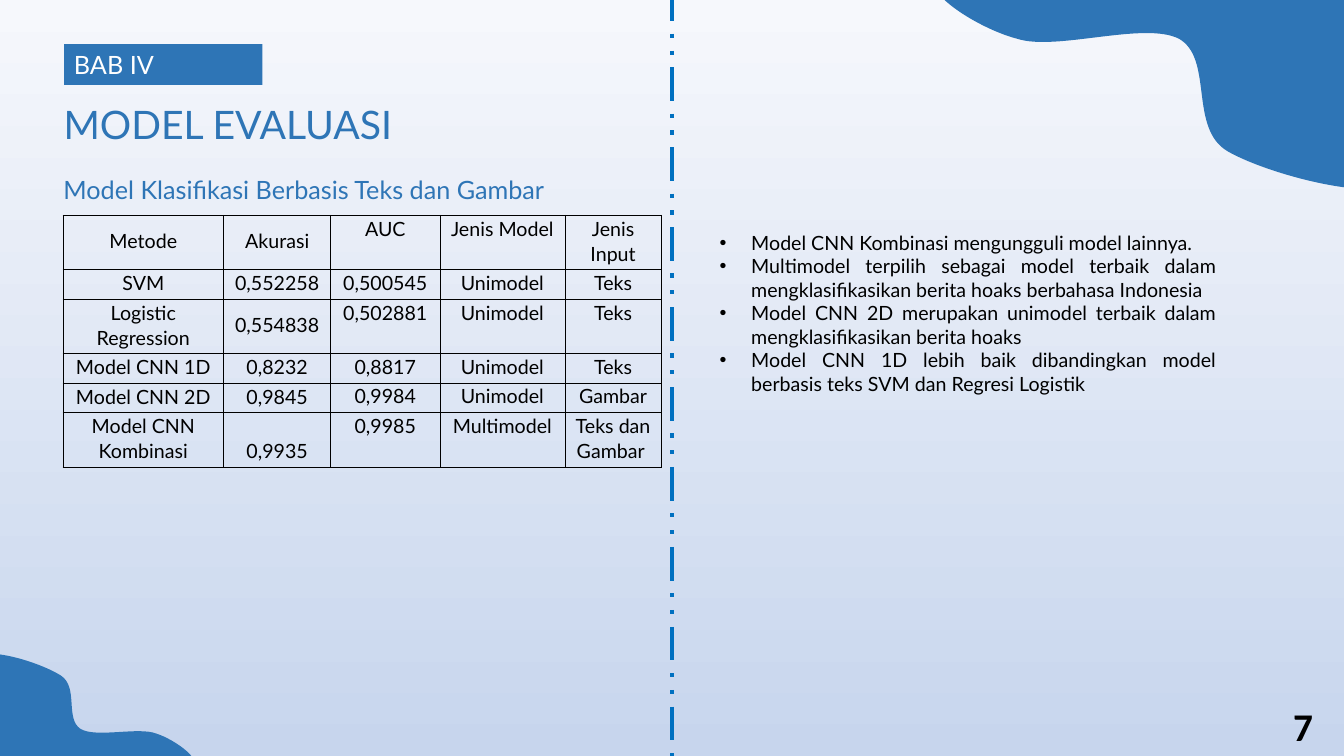
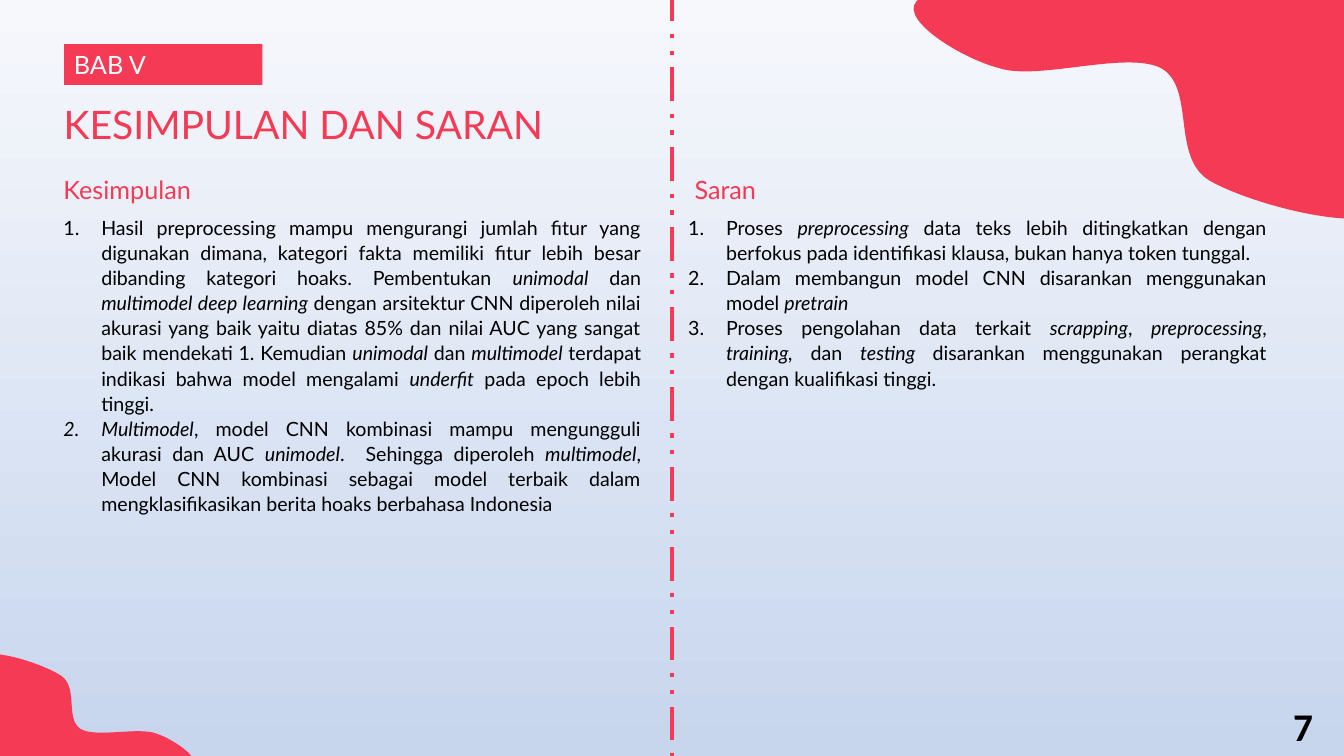
from dataclasses import dataclass

from lxml.etree import SubElement
from pptx import Presentation
from pptx.dml.color import RGBColor
from pptx.enum.dml import MSO_LINE
from pptx.enum.shapes import MSO_CONNECTOR as Connector, MSO_SHAPE as Preset
from pptx.enum.text import MSO_ANCHOR as Anchor, MSO_AUTO_SIZE as AutoSize, PP_ALIGN as Align
from pptx.oxml.ns import qn
from pptx.util import Emu, Pt


@dataclass(frozen=True)
class Theme:
    font: str = "Lato"
    number_font: str = "Calibri"
    blue: str = "2E75B6"
    divider_blue: str = "0070C0"
    red: str = "F43A55"
    ink: str = "000000"
    paper: str = "FFFFFF"
    sky_top: str = "F6F8FC"
    sky_bottom: str = "C7D5ED"
    title: int = 28
    heading: int = 18
    body: int = 14


THEME = Theme()
EMU_PER_PX = 9525
SIDES = ("left", "top", "width", "height")
TITLE_TOP, HEADING_TOP = 79, 140
HEADING_SIZE = (526, 84)
BULLET = ("a:buChar", {"char": "•"})
NUMBER = ("a:buAutoNum", {"type": "arabicPeriod"})

WAVE_SIZE = (480, 238)
WAVE_START = (461, 228)
WAVE_CURVES = [
    ((432, 255), (320, 224), (282, 202)),
    ((245, 180), (269, 114), (236, 95)),
    ((203, 78), (119, 107), (82, 95)),
    ((43, 85), (-21, 44), (7, 28)),
    ((35, 12), (174, -1), (248, 0)),
    ((322, 1), (415, -4), (450, 34)),
    ((487, 72), (489, 200), WAVE_START),
]
FOOT_WAVE_AREA = (-37, 628, 225, 110)
FOOT_WAVE_ROTATION = 183.5

CHAPTERS = [
    {
        "chapter": "BAB IV",
        "title": "MODEL EVALUASI",
        "color": THEME.blue,
        "divider": THEME.divider_blue,
        "wave_corner": (887, -58),
        "headings": [(51, "Model Klasifikasi Berbasis Teks dan Gambar")],
        "lists": [
            ((676, 215, 492, 213), BULLET, 30, 1.0, [
                "Model CNN Kombinasi mengungguli model lainnya.",
                "Multimodel terpilih sebagai model terbaik dalam mengklasifikasikan berita hoaks berbahasa Indonesia",
                "Model CNN 2D merupakan unimodel terbaik dalam mengklasifikasikan berita hoaks",
                "Model CNN 1D lebih baik dibandingkan model berbasis teks SVM dan Regresi Logistik",
            ]),
        ],
    },
    {
        "chapter": "BAB V",
        "title": "KESIMPULAN DAN SARAN",
        "color": THEME.red,
        "divider": THEME.red,
        "wave_corner": (870, -30),
        "headings": [(51, "Kesimpulan"), (652, "Saran")],
        "lists": [
            ((51, 199, 569, 298), NUMBER, 36, 1.07, [
                "Hasil preprocessing mampu mengurangi jumlah fitur yang digunakan dimana, kategori fakta "
                "memiliki fitur lebih besar dibanding kategori hoaks. Pembentukan *unimodal* dan "
                "*multimodel deep learning *dengan arsitektur CNN diperoleh nilai akurasi yang baik yaitu "
                "diatas 85% dan nilai AUC yang sangat baik mendekati 1. Kemudian *unimodal* dan "
                "*multimodel* terdapat indikasi bahwa model mengalami *underfit* pada epoch lebih tinggi.",
                "*Multimodel*, model CNN kombinasi mampu mengungguli akurasi dan AUC *unimodel*.  Sehingga "
                "diperoleh *multimodel*, Model CNN kombinasi sebagai model terbaik dalam "
                "mengklasifikasikan berita hoaks berbahasa Indonesia",
            ]),
            ((646, 199, 570, 177), NUMBER, 36, 1.07, [
                "Proses *preprocessing* data teks lebih ditingkatkan dengan berfokus pada identifikasi "
                "klausa, bukan hanya token tunggal.",
                "Dalam membangun model CNN disarankan menggunakan model *pretrain*",
                "Proses pengolahan data terkait *scrapping*, *preprocessing*, *training,* dan *testing *"
                "disarankan menggunakan perangkat dengan kualifikasi tinggi.",
            ]),
        ],
    },
]

SCORES = [
    ("Metode", "Akurasi", "AUC", "Jenis Model", "Jenis Input"),
    ("SVM", "0,552258", "0,500545", "Unimodel", "Teks"),
    ("Logistic Regression", "0,554838", "0,502881", "Unimodel", "Teks"),
    ("Model CNN 1D", "0,8232", "0,8817", "Unimodel", "Teks"),
    ("Model CNN 2D", "0,9845", "0,9984", "Unimodel", "Gambar"),
    ("Model CNN Kombinasi", "0,9935", "0,9985", "Multimodel", "Teks dan Gambar "),
]
COLUMN_WIDTHS = [153, 102, 104, 119, 92]
ROW_HEIGHTS = [48, 25, 25, 25, 25, 49]


def px(*values):
    return [Emu(round(value * EMU_PER_PX)) for value in values]


def write(frame, texts, size, color, font=THEME.font, bold=False, align=Align.LEFT,
          spacing=1.0, anchor=Anchor.TOP, marker=None, indent=0):
    frame.word_wrap = True
    frame.vertical_anchor = anchor
    for index, text in enumerate(texts):
        paragraph = frame.add_paragraph() if index else frame.paragraphs[0]
        paragraph.alignment = align
        paragraph.line_spacing = spacing
        for position, part in enumerate(text.split("*")):
            if not part:
                continue
            run = paragraph.add_run()
            run.text = part
            style = {"name": font, "size": Pt(size), "bold": bold, "italic": position % 2 == 1}
            for name, value in style.items():
                setattr(run.font, name, value)
            run.font.color.rgb = RGBColor.from_string(color)
        if marker:
            tag, attributes = marker
            properties = paragraph._p.get_or_add_pPr()
            properties.set("marL", str(indent * EMU_PER_PX))
            properties.set("indent", str(-indent * EMU_PER_PX))
            if marker is BULLET:
                SubElement(properties, qn("a:buFont"), typeface="Arial")
            SubElement(properties, qn(tag), **attributes)


presentation = Presentation()
presentation.slide_width, presentation.slide_height = px(1280, 720)

backdrop = presentation.slide_master.background.fill
backdrop.gradient()
backdrop.gradient_angle = 270
for stop, color in zip(backdrop.gradient_stops, (THEME.sky_top, THEME.sky_bottom)):
    stop.color.rgb = RGBColor.from_string(color)

for content in CHAPTERS:
    slide = presentation.slides.add_slide(presentation.slide_layouts[5])
    shapes = slide.shapes
    accent = RGBColor.from_string(content["color"])

    wave_width, wave_height = WAVE_SIZE
    corner_area = (*content["wave_corner"], *WAVE_SIZE)
    for area, rotation in ((corner_area, 0), (FOOT_WAVE_AREA, FOOT_WAVE_ROTATION)):
        builder = shapes.build_freeform(0, 0, scale=EMU_PER_PX)
        builder.add_line_segments([(wave_width, 0), WAVE_SIZE, (0, wave_height)])
        wave = builder.convert_to_shape()
        outline = wave._element.find(".//" + qn("a:path"))
        for segment in list(outline):
            outline.remove(segment)
        for tag, points in [("a:moveTo", [WAVE_START])] + [("a:cubicBezTo", curve) for curve in WAVE_CURVES]:
            segment = SubElement(outline, qn(tag))
            for x, y in points:
                SubElement(segment, qn("a:pt"), x=str(x), y=str(y))
        SubElement(outline, qn("a:close"))
        for name, value in zip(SIDES, px(*area)):
            setattr(wave, name, value)
        wave.rotation = rotation
        wave.shadow.inherit = False
        wave.fill.solid()
        wave.fill.fore_color.rgb = accent
        wave.line.fill.background()

    divider = shapes.add_connector(Connector.STRAIGHT, *px(640, -12, 640, 744))
    divider.line.color.rgb = RGBColor.from_string(content["divider"])
    divider.line.width = Pt(3)
    divider.line.dash_style = MSO_LINE.DASH_DOT_DOT
    SubElement(divider._element.spPr, qn("a:effectLst"))

    title = shapes.title
    for name, value in zip(SIDES, px(51, TITLE_TOP, *HEADING_SIZE)):
        setattr(title, name, value)
    title.text_frame.auto_size = AutoSize.NONE
    write(title.text_frame, [content["title"]], THEME.title, content["color"],
          spacing=0.9, anchor=Anchor.MIDDLE)

    band = shapes.add_shape(Preset.RECTANGLE, *px(61, 42, 189, 39))
    band.shadow.inherit = False
    band.fill.solid()
    band.fill.fore_color.rgb = accent
    band.line.fill.background()
    write(band.text_frame, [content["chapter"]], THEME.heading, THEME.paper)

    for left, text in content["headings"]:
        heading = shapes.add_textbox(*px(left, HEADING_TOP, *HEADING_SIZE))
        write(heading.text_frame, [text], THEME.heading, content["color"],
              spacing=0.9, anchor=Anchor.MIDDLE)

    for area, marker, indent, spacing, points in content["lists"]:
        point_list = shapes.add_textbox(*px(*area))
        write(point_list.text_frame, points, THEME.body, THEME.ink, align=Align.JUSTIFY,
              spacing=spacing, marker=marker, indent=indent)

    page_number = shapes.add_textbox(*px(1222, 664, 36, 55))
    write(page_number.text_frame, ["7"], THEME.title, THEME.ink, font=THEME.number_font, bold=True)

area = px(60, 205, sum(COLUMN_WIDTHS), sum(ROW_HEIGHTS))
table = presentation.slides[0].shapes.add_table(len(SCORES), len(COLUMN_WIDTHS), *area).table
table.first_row = False
table.horz_banding = False
for column, width in zip(table.columns, px(*COLUMN_WIDTHS)):
    column.width = width
for row, height in zip(table.rows, px(*ROW_HEIGHTS)):
    row.height = height

last_row = len(SCORES) - 1
for row_index, values in enumerate(SCORES):
    for column_index, value in enumerate(values):
        cell = table.cell(row_index, column_index)
        margins = zip(("left", "top", "right", "bottom"), px(7, 0, 7, 4))
        for side, margin in margins:
            setattr(cell, f"margin_{side}", margin)
        write(cell.text_frame, [value], THEME.body, THEME.ink, align=Align.CENTER, spacing=1.07)
        cell.vertical_anchor = Anchor.TOP
        if column_index < 2 and row_index < last_row:
            cell.vertical_anchor = Anchor.MIDDLE
        elif column_index == 1:
            cell.vertical_anchor = Anchor.BOTTOM
        cell.fill.background()
        properties = cell._tc.get_or_add_tcPr()
        for order, side in enumerate(("a:lnL", "a:lnR", "a:lnT", "a:lnB")):
            border = SubElement(properties, qn(side), w=str(Pt(0.5)))
            SubElement(SubElement(border, qn("a:solidFill")), qn("a:srgbClr"), val=THEME.ink)
            properties.insert(order, border)

presentation.save("out.pptx")
